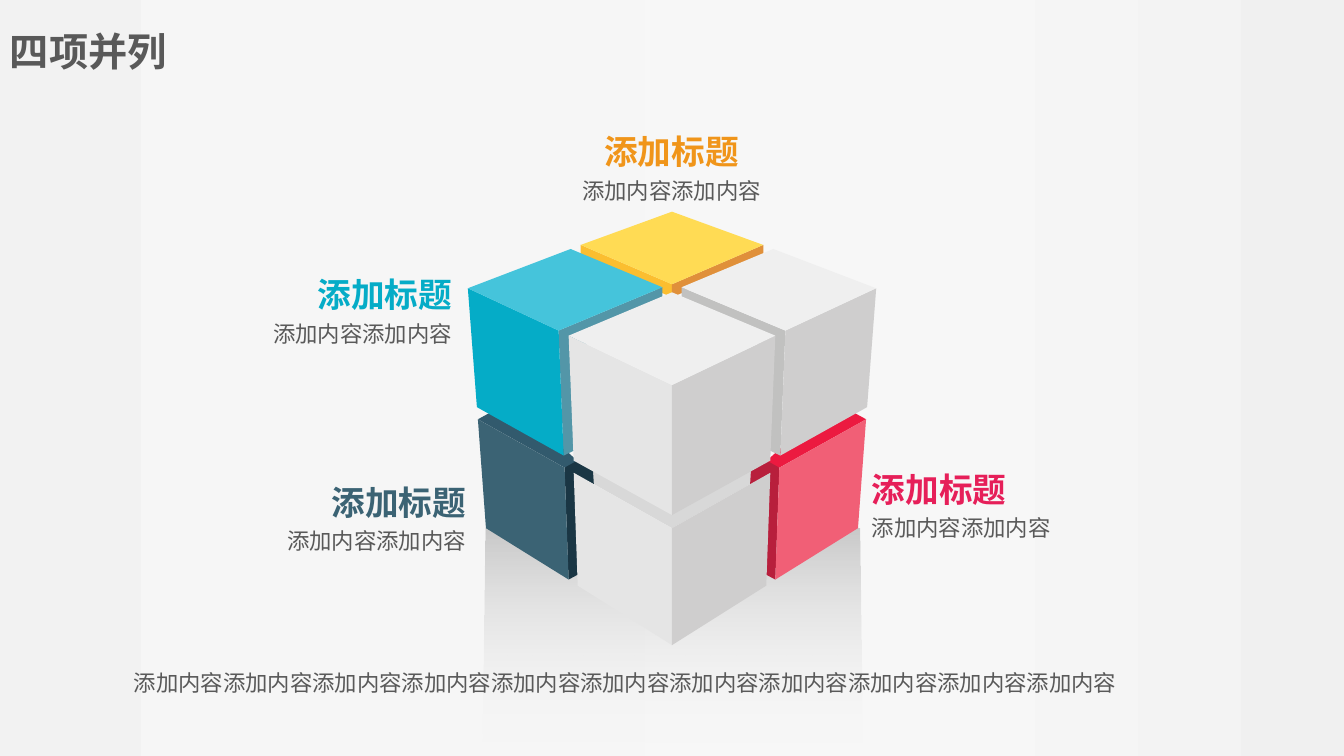
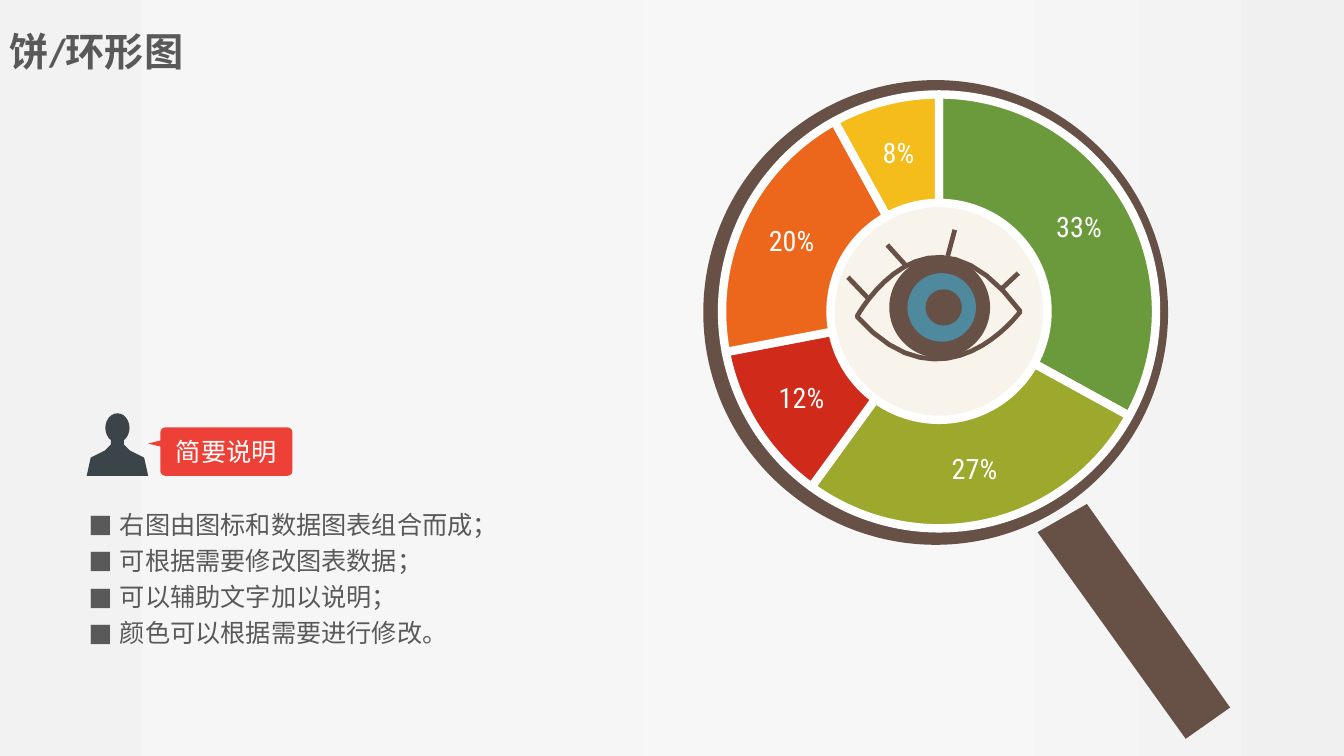
"""Build two slides: a cube of four parallel points and a lens-shaped ring chart."""
from dataclasses import dataclass
from typing import NamedTuple

from lxml.etree import SubElement as Sub
from pptx import Presentation as Deck
from pptx.chart.data import CategoryChartData as Data
from pptx.dml.color import RGBColor as Rgb
from pptx.enum.chart import XL_CHART_TYPE as Kind
from pptx.enum.lang import MSO_LANGUAGE_ID as Lang
from pptx.enum.shapes import MSO_CONNECTOR as Link, MSO_SHAPE as Form
from pptx.enum.text import MSO_ANCHOR as Hold, PP_ALIGN as Align
from pptx.oxml.ns import qn
from pptx.util import Cm, Pt


@dataclass(frozen=True)
class Theme:
    ink: str = "595959"
    white: str = "FFFFFF"
    brown: str = "675046"
    cream: str = "F8F4EC"
    iris: str = "4E899D"
    bust: str = "3B4449"
    red: str = "ED4137"
    teal: str = "3B6374"
    cyan: str = "05ACC7"
    rose: str = "E61F59"
    gold: str = "F0951A"
    pale: str = "EFEFEF"
    light: str = "E5E5E5"
    shade: str = "CFCECE"
    face: str = "Calibri"
    han: str = "Noto Sans CJK SC"
    digit: str = "Roboto Condensed"
    title: int = 28
    head: int = 24
    body: int = 16
    item: int = 18
    label: int = 20
    stroke: float = 3.38
    back: tuple = ((0, "F2F2F2", 100), (21, "F6F6F6", 100), (48, "F7F7F7", 100),
                   (77, "F5F5F5", 100), (100, "F0F0F0", 100))
    fade: tuple = ((0, "0D0D0D", 20), (100, "FFFFFF", 0))
    ring: tuple = ("6A9A3B", "9DA92C", "D02B1A", "EC671B", "F5BD1B")


T = Theme()


class Box(NamedTuple):
    x: float
    y: float
    w: float
    h: float


class Face(NamedTuple):
    keys: str
    tint: str
    twin: str = ""


class Note(NamedTuple):
    x: float
    y: float
    tint: str
    align: Align


AXIS = 6.665
NODES = {
    "a": (4.64, 2.86), "b": (5.66, 2.47), "c": (6.57, 2.85), "d": (5.54, 3.28),
    "e": (4.73, 4.04), "f": (5.59, 4.52), "g": (5.64, 3.33), "h": (AXIS, 2.9),
    "i": (AXIS, 3.82), "j": (5.69, 4.57), "k": (AXIS, 5.11), "l": (5.69, 4.69),
    "m": (AXIS, 5.24), "n": (5.73, 5.81), "o": (AXIS, 6.4), "p": (4.74, 4.16),
    "q": (5.6, 4.64), "r": (5.64, 5.75), "s": (4.82, 5.24), "t": (AXIS, 2.1),
    "u": (5.76, 2.43), "v": (AXIS, 2.82), "w": (5.76, 2.55), "x": (AXIS, 2.95),
    "y": (6.57, 2.99), "z": (5.78, 3.44), "α": (5.8, 4.42), "β": (5.94, 5.59),
    "γ": (5.87, 4.49), "δ": (5.07, 3.98), "ε": (5.79, 4.63), "ζ": (5.92, 4.56),
}
FACES = [
    Face("uwxv", "FBBE30", "E0903A"), Face("lζΖLm", "D8D8D8"),
    Face("pδεq", "325A6D", "EC1A40"), Face("qrβγ", "1A3644", "B81F3C"),
    Face("dcyzαf", "5396A8", "C1C1C0"), Face("pqrs", T.teal, "F15F76"),
    Face("adfe", T.cyan, T.shade), Face("gjki", T.light, T.shade),
    Face("lmon", T.light, T.shade), Face("ghGi", T.pale),
    Face("abcd", "45C4DB", T.pale), Face("tUvu", "FFDB54"),
]
NOTES = [
    Note(1.6, 4.65, T.teal, Align.RIGHT), Note(8.55, 4.52, T.rose, Align.LEFT),
    Note(1.46, 2.59, T.cyan, Align.RIGHT), Note(5.1, 1.17, T.gold, Align.CENTER),
]
GRIP = [(10.29, 5.28), (11.76, 7.33), (12.2, 7.02), (10.78, 5)]
LEFT, RIGHT = (8.5, 3.14), (10.12, 3.09)
LIDS = [(LEFT, LEFT, (9.2, 1.85), RIGHT), (RIGHT, RIGHT, (9.37, 4.12), LEFT)]
LASHES = [(8.62, 2.97, 8.41, 2.75), (8.99, 2.64, 8.8, 2.43),
          (9.4, 2.54, 9.47, 2.28), (9.94, 2.86, 10.1, 2.71)]
NECK = 1.165
TORSO = [(0.86, 4.72), (0.9, 4.54), (1.04, 4.47), (1.1, 4.41), (1.1, 4.3)]
POINTS = ["右图由图标和数据图表组合而成；", "可根据需要修改图表数据；",
          "可以辅助文字加以说明；", "颜色可以根据需要进行修改。"]
SHARES = (0.33, 0.27, 0.12, 0.2, 0.08)


def size(val: float) -> int:
    return Cm(val * 2.54)


def span(box: Box) -> list[int]:
    return [size(val) for val in box]


def flip(dot: tuple, axis: float) -> tuple:
    return 2 * axis - dot[0], dot[1]


def node(key: str) -> tuple:
    return flip(NODES[key.lower()], AXIS) if key.isupper() else NODES[key]


def paint(fill, tint: str) -> None:
    fill.solid()
    fill.fore_color.rgb = Rgb.from_string(tint)


def blend(fill, root, stops: tuple, turn: int) -> None:
    fill.gradient()
    fill.gradient_angle = turn
    ramp = root.find(".//" + qn("a:gsLst"))
    for old in list(ramp):
        ramp.remove(old)
    for pos, tint, alpha in stops:
        stop = Sub(ramp, qn("a:gs"), pos=str(pos * 1000))
        hue = Sub(stop, qn("a:srgbClr"), val=tint)
        Sub(hue, qn("a:alpha"), val=str(alpha * 1000))


def shape(slide, form: Form, box: Box, tint: str):
    item = slide.shapes.add_shape(form, *span(box))
    item.shadow.inherit = False
    item.line.fill.background()
    paint(item.fill, tint)
    return item


def disc(slide, x: float, y: float, wide: float, tint: str) -> None:
    shape(slide, Form.OVAL, Box(x - wide / 2, y - wide / 2, wide, wide), tint)


def curve(ends: tuple, steps: int = 16) -> list:
    dots = []
    for k in range(steps):
        t = k / steps
        mix = ((1 - t) ** 3, 3 * t * (1 - t) ** 2, 3 * t * t * (1 - t), t ** 3)
        dots.append(tuple(sum(m * p[i] for m, p in zip(mix, ends)) for i in (0, 1)))
    return dots


def outline(slide, marks: list, tint: str, width: float = 0) -> None:
    dots = [(size(x), size(y)) for x, y in marks]
    pen = slide.shapes.build_freeform(*dots[0], scale=1.0)
    pen.add_line_segments(dots[1:], close=True)
    item = pen.convert_to_shape()
    item.shadow.inherit = False
    if width:
        item.fill.background()
        item.line.width = Pt(width)
        paint(item.line.fill, tint)
    else:
        item.line.fill.background()
        paint(item.fill, tint)


def write(para, text: str, pts: int, tint: str, face: str = T.face, bold: bool = False) -> None:
    run = para.add_run()
    run.text = text
    font = run.font
    font.size, font.bold, font.name = Pt(pts), bold, face
    font.language_id = Lang.SIMPLIFIED_CHINESE
    font.color.rgb = Rgb.from_string(tint)
    Sub(run._r.get_or_add_rPr(), qn("a:ea"), typeface=T.han)


def frame(slide, box: Box):
    text = slide.shapes.add_textbox(*span(box)).text_frame
    text.word_wrap = True
    return text


def line(text, first: bool, space: float, align: Align = Align.LEFT):
    para = text.paragraphs[0] if first else text.add_paragraph()
    para.line_spacing, para.alignment = space, align
    return para


def start(deck, title: str, width: float):
    slide = deck.slides.add_slide(deck.slide_layouts[6])
    text = frame(slide, Box(0, 0.22, width, 0.57))
    write(text.paragraphs[0], title, T.title, T.ink, bold=True)
    return slide


def cube(deck) -> None:
    slide = start(deck, "四项并列", 1.77)
    cast = shape(slide, Form.TRAPEZOID, Box(4.79, 5.24, 3.76, 2.21), T.white)
    cast.adjustments[0] = 0.014
    blend(cast.fill, cast.element, T.fade, 270)
    for face in FACES:
        outline(slide, [node(key) for key in face.keys], face.tint)
        if face.twin:
            outline(slide, [node(key.upper()) for key in face.keys], face.twin)
    for note in NOTES:
        text = frame(slide, Box(note.x, note.y, 3.12, 0.91))
        write(line(text, True, 1.2, note.align), "添加标题", T.head, note.tint, bold=True)
        write(line(text, False, 1.2, note.align), "添加内容" * 2, T.body, T.ink)
    text = frame(slide, Box(1.23, 6.51, 10.92, 0.45))
    write(line(text, True, 1.3, Align.JUSTIFY), "添加内容" * 11, T.body, T.ink)


def ring(slide) -> None:
    data = Data(number_format="0%")
    data.categories = [str(k + 1) for k in range(len(SHARES))]
    data.add_series("Series 1", SHARES)
    chart = slide.shapes.add_chart(Kind.DOUGHNUT, *span(Box(5.85, 0.8, 6.86, 4.58)), data).chart
    chart.has_legend = chart.has_title = False
    chart.font.size, chart.font.name = Pt(10), T.face
    chart.font.color.rgb = Rgb.from_string("000000")
    plot = chart.plots[0]
    plot.vary_by_categories = False
    plot._element.find(qn("c:holeSize")).set("val", "56")
    area = chart._chartSpace.find(".//" + qn("c:plotArea"))
    for old in area.findall(qn("c:layout")):
        area.remove(old)
    place = Sub(area, qn("c:layout"))
    area.insert(0, place)
    inner = Sub(place, qn("c:manualLayout"))
    for tag, val in (("layoutTarget", "inner"), ("xMode", "edge"), ("yMode", "edge"),
                     ("x", "0.19"), ("y", "0.03"), ("w", "0.63"), ("h", "0.94")):
        Sub(inner, qn("c:" + tag), val=val)
    for k, tint in enumerate(T.ring):
        part = plot.series[0].points[k].format
        paint(part.fill, tint)
        paint(part.line.fill, T.white)
        part.line.width = Pt(6)
    plot.has_data_labels = True
    tags = plot.data_labels
    tags.show_value, tags.show_percentage = True, False
    tags.number_format, tags.number_format_is_linked = "0%", False
    tags.font.size, tags.font.name = Pt(T.label), T.digit
    tags.font.color.rgb = Rgb.from_string(T.white)


def lens(deck) -> None:
    slide = start(deck, "饼/环形图", 1.93)
    for wide, tint in ((4.61, T.brown), (3.93, T.cream)):
        disc(slide, 9.28, 3.1, wide, tint)
    outline(slide, GRIP, T.brown)
    outline(slide, [dot for lid in LIDS for dot in curve(lid)], T.brown, T.stroke)
    for k, tint in enumerate((T.brown, T.iris, T.brown)):
        disc(slide, 9.32 + 0.02 * k, 3.05, 1 - 0.32 * k, tint)
    for lash in LASHES:
        hair = slide.shapes.add_connector(Link.STRAIGHT, *map(size, lash))
        hair.line.width = Pt(T.stroke)
        paint(hair.line.fill, T.brown)
        Sub(hair.element.spPr, qn("a:effectLst"))
    ring(slide)
    outline(slide, TORSO + [flip(dot, NECK) for dot in reversed(TORSO)], T.bust)
    shape(slide, Form.OVAL, Box(NECK - 0.12, 4.1, 0.24, 0.29), T.bust)
    text = frame(slide, Box(0.78, 4.94, 5.22, 1.56))
    for k, point in enumerate(POINTS):
        para = line(text, k == 0, 1.2)
        props = para._p.get_or_add_pPr()
        props.set("marL", str(size(0.31)))
        props.set("indent", str(-size(0.31)))
        Sub(props, qn("a:buFont"), typeface=T.face)
        Sub(props, qn("a:buChar"), char="■")
        write(para, point, T.item, T.ink, T.han)
    tag = shape(slide, Form.ROUNDED_RECTANGLE, Box(1.59, 4.24, 1.31, 0.48), T.red)
    tag.adjustments[0] = 0.1
    text = tag.text_frame
    text.margin_left = text.margin_right = text.margin_top = text.margin_bottom = 0
    text.vertical_anchor = Hold.MIDDLE
    write(line(text, True, 1.0, Align.CENTER), "简要说明", T.item, T.white, T.han)
    shape(slide, Form.ISOSCELES_TRIANGLE, Box(1.51, 4.32, 0.08, 0.16), T.red).rotation = 270


def main() -> None:
    deck = Deck()
    deck.slide_width, deck.slide_height = size(13.33), size(7.5)
    base = deck.slide_master
    blend(base.background.fill, base.element, T.back, 0)
    cube(deck)
    lens(deck)
    deck.save("out.pptx")


if __name__ == "__main__":
    main()
